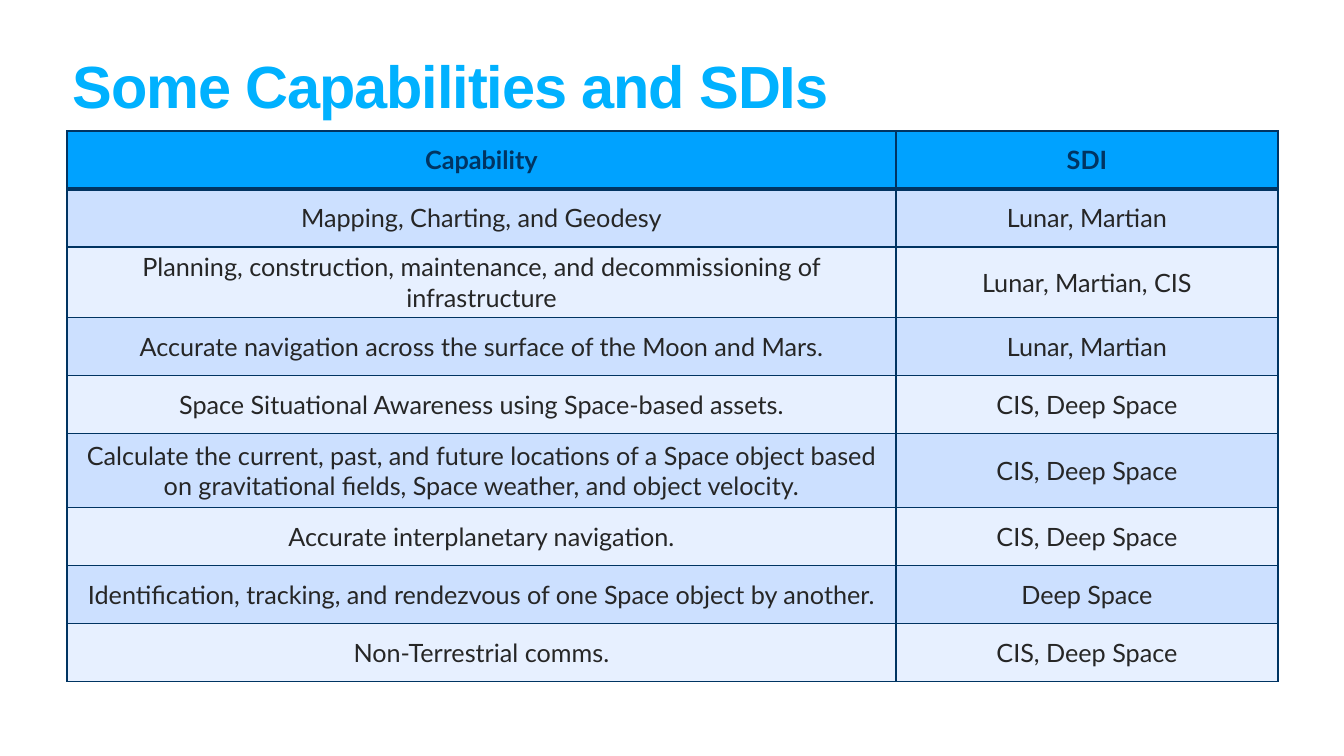
from lxml import etree
from pptx import Presentation
from pptx.dml.color import RGBColor
from pptx.enum.text import MSO_ANCHOR, PP_ALIGN
from pptx.oxml.ns import qn
from pptx.util import Emu, Pt

MIDDLE = MSO_ANCHOR.MIDDLE
CENTER = PP_ALIGN.CENTER
EMU_PER_PX = 914400 / 100.8

COLORS = {
    "title": "00B1FF",
    "header": "00A2FF",
    "navy": "003462",
    "text": "262626",
    "band_dark": "CCE0FF",
    "band_light": "E7F0FF",
}

HEADINGS = ("Capability", "SDI")
CAPABILITIES = [
    ("Mapping, Charting, and Geodesy", "Lunar, Martian"),
    ("Planning, construction, maintenance, and decommissioning of infrastructure",
     "Lunar, Martian, CIS"),
    ("Accurate navigation across the surface of the Moon and Mars.", "Lunar, Martian"),
    ("Space Situational Awareness using Space-based assets.", "CIS, Deep Space"),
    ("Calculate the current, past, and future locations of a Space object based "
     "on gravitational fields, Space weather, and object velocity.", "CIS, Deep Space"),
    ("Accurate interplanetary navigation.", "CIS, Deep Space"),
    ("Identification, tracking, and rendezvous of one Space object by another.",
     "Deep Space"),
    ("Non-Terrestrial comms.", "CIS, Deep Space"),
]
ROW_HEIGHT = 58
TALL_ROWS = {2: 70, 5: 74}
SDI_WIDTH = 382


def px(length):
    return Emu(round(length * EMU_PER_PX))


def rgb(name):
    return RGBColor.from_string(COLORS[name])


def style_font(font, name, size, color, bold):
    font.name = name
    font.size = Pt(size)
    font.bold = bold
    font.color.rgb = rgb(color)


def add_title(page, left, top, width, height):
    box = page.shapes.add_textbox(px(left), px(top), px(width), px(height))
    frame = box.text_frame
    frame.word_wrap = True
    frame.vertical_anchor = MIDDLE
    frame.margin_left = frame.margin_right = px(6)
    frame.margin_top = frame.margin_bottom = px(6)
    para = frame.paragraphs[0]
    para.line_spacing = 0.8
    span = para.add_run()
    span.text = "Some Capabilities and SDIs"
    style_font(para.font, "Arial", 42.5, "title", True)
    # Tighten the letter spacing by 0.8 pt
    span._r.get_or_add_rPr().set("spc", "-80")


def add_borders(cell, top, bottom):
    properties = cell._tc.get_or_add_tcPr()
    for side, points in (("L", 1), ("R", 1), ("T", top), ("B", bottom)):
        line = etree.SubElement(properties, qn(f"a:ln{side}"), w=str(Pt(points)))
        fill = etree.SubElement(line, qn("a:solidFill"))
        etree.SubElement(fill, qn("a:srgbClr"), val=COLORS["navy"])


def fill_cell(cell, text, row):
    header = row == 0
    # The rule below the header is heavier than the others
    add_borders(cell, top=3 if row == 1 else 1, bottom=3 if header else 1)
    band = "header" if header else "band_dark" if row % 2 else "band_light"
    cell.fill.solid()
    cell.fill.fore_color.rgb = rgb(band)
    cell.vertical_anchor = MIDDLE
    cell.text = text
    para = cell.text_frame.paragraphs[0]
    para.alignment = CENTER
    style_font(para.font, "Lato", 18, "navy" if header else "text", header)


def add_capability_table(page, left, top, width):
    rows = [HEADINGS, *CAPABILITIES]
    heights = [TALL_ROWS.get(row, ROW_HEIGHT) for row in range(len(rows))]
    table = page.shapes.add_table(len(rows), len(HEADINGS), px(left), px(top),
                                  px(width), px(sum(heights))).table
    table.horz_banding = False
    table.columns[0].width = px(width - SDI_WIDTH)
    table.columns[1].width = px(SDI_WIDTH)
    for row, (texts, height) in enumerate(zip(rows, heights)):
        table.rows[row].height = px(height)
        for column, text in enumerate(texts):
            fill_cell(table.cell(row, column), text, row)


def main():
    deck = Presentation()
    deck.slide_width = px(1344)
    deck.slide_height = px(756)
    page = deck.slides.add_slide(deck.slide_layouts[6])
    add_title(page, left=67, top=52, width=1211, height=79)
    add_capability_table(page, left=67, top=131, width=1211)
    deck.save("out.pptx")


if __name__ == "__main__":
    main()
